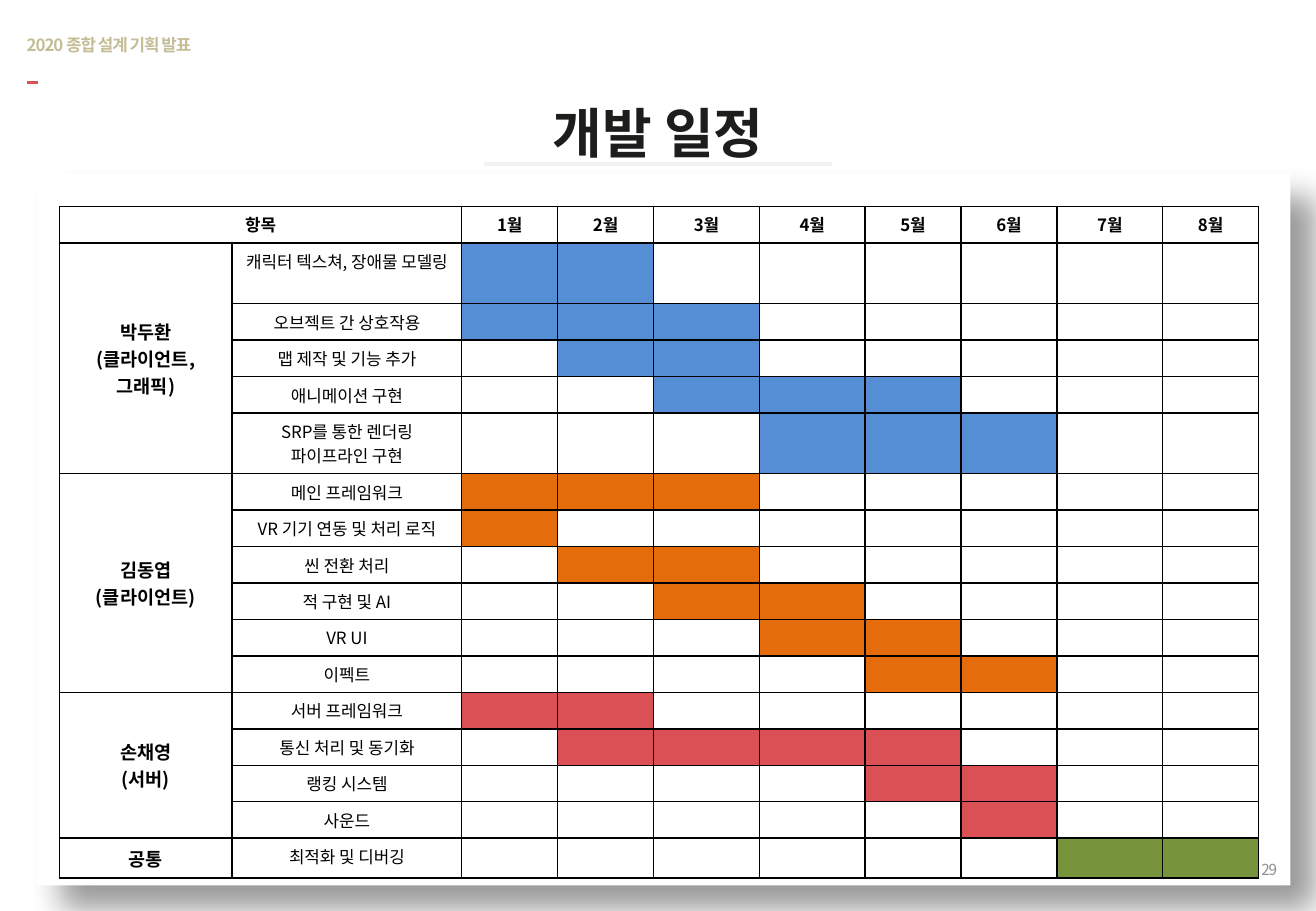
"""Build the development schedule slide: a month-by-month plan for each team member."""
import pptx
import pptx.dml.color
import pptx.enum.shapes
import pptx.enum.text
import pptx.oxml
import pptx.oxml.ns
import pptx.util

Inches = pptx.util.Inches
Pt = pptx.util.Pt
ALIGN = pptx.enum.text.PP_ALIGN
MIDDLE = pptx.enum.text.MSO_ANCHOR.MIDDLE
FONT = "Noto Sans CJK KR"
NS = pptx.oxml.ns.nsdecls("a")
BLUE, ORANGE, RED, GREEN = "558ED5", "E46C0A", "DA5054", "77933C"


def rgb(value):
    """Turn a hex string into a colour."""
    return pptx.dml.color.RGBColor.from_string(value)


def write(paragraph, text, size, color="000000", bold=False, align=ALIGN.CENTER, spacing=0):
    """Add one run in the slide's font."""
    paragraph.alignment = align
    run = paragraph.add_run()
    run.text = text
    run.font.size = Pt(size)
    run.font.bold = bold
    run.font.name = FONT
    run.font.color.rgb = rgb(color)
    properties = run.font._element
    properties.append(pptx.oxml.parse_xml(f'<a:ea {NS} typeface="{FONT}"/>'))
    if spacing:
        properties.set("spc", str(spacing))


deck = pptx.Presentation()
deck.slide_width = Inches(10.83)
deck.slide_height = Inches(7.5)
slide = deck.slides.add_slide(deck.slide_layouts[6])

panel = slide.shapes.add_shape(
    pptx.enum.shapes.MSO_SHAPE.RECTANGLE, Inches(0.31), Inches(1.43), Inches(10.31), Inches(5.86))
panel.fill.solid()
panel.fill.fore_color.rgb = rgb("FFFFFF")
panel.line.fill.background()
panel._element.spPr.append(pptx.oxml.parse_xml(
    f'<a:effectLst {NS}><a:outerShdw blurRad="{Pt(19)}" dist="{Pt(20)}" dir="2700000" algn="tl" '
    'rotWithShape="0"><a:srgbClr val="000000"><a:alpha val="40000"/></a:srgbClr>'
    '</a:outerShdw></a:effectLst>'))

for left, right, y, color, width in [(0.22, 0.31, 0.68, RED, 2), (3.98, 6.85, 1.35, "F2F2F2", 2.25)]:
    rule = slide.shapes.add_connector(
        pptx.enum.shapes.MSO_CONNECTOR.STRAIGHT, Inches(left), Inches(y), Inches(right), Inches(y))
    rule.line.color.rgb = rgb(color)
    rule.line.width = Pt(width)
    rule._element.spPr.append(pptx.oxml.parse_xml(f"<a:effectLst {NS}/>"))

captions = [
    ("개발 일정", (1.44, 0.9, 7.95, 0.38), 32, "1D1D1B", True, ALIGN.CENTER, 0),
    ("29", (10.05, 7, 0.46, 0.31), 9, "8C8C8C", False, ALIGN.RIGHT, -60),
    ("2020 종합 설계 기획 발표", (0.22, 0.13, 2.99, 0.47), 10, "C4BD97", True, ALIGN.LEFT, -60),
]
for text, place, *style in captions:
    frame = slide.shapes.add_textbox(*map(Inches, place)).text_frame
    frame.word_wrap = True
    frame.vertical_anchor = MIDDLE
    frame.margin_left = frame.margin_right = frame.margin_top = frame.margin_bottom = 0
    write(frame.paragraphs[0], text, *style)

plan = [
    (["박두환", "(클라이언트, 그래픽)"], BLUE, [
        ("캐릭터 텍스쳐, 장애물 모델링", 1, 2),
        ("오브젝트 간 상호작용", 1, 3),
        ("맵 제작 및 기능 추가", 2, 3),
        ("애니메이션 구현", 3, 5),
        ("SRP를 통한 렌더링 파이프라인 구현", 4, 6),
    ]),
    (["김동엽", "(클라이언트)"], ORANGE, [
        ("메인 프레임워크", 1, 3),
        ("VR 기기 연동 및 처리 로직", 1, 1),
        ("씬 전환 처리", 2, 3),
        ("적 구현 및 AI", 3, 4),
        ("VR UI", 4, 5),
        ("이펙트", 5, 6),
    ]),
    (["손채영", "(서버)"], RED, [
        ("서버 프레임워크", 1, 2),
        ("통신 처리 및 동기화", 2, 5),
        ("랭킹 시스템", 5, 6),
        ("사운드", 6, 6),
    ]),
    (["공통"], GREEN, [("최적화 및 디버깅", 7, 8)]),
]
column_widths = [1.42, 1.89, 0.79, 0.79, 0.87, 0.87, 0.79, 0.79, 0.87, 0.79]
row_heights = [0.3, 0.5, 0.3, 0.3, 0.3, 0.5] + [0.3] * 10 + [0.33]
schedule = slide.shapes.add_table(
    len(row_heights), len(column_widths), Inches(0.49), Inches(1.7),
    Inches(sum(column_widths)), Inches(sum(row_heights))).table
schedule.first_row = schedule.horz_banding = False
for column, width in zip(schedule.columns, column_widths):
    column.width = Inches(width)
for row, height in zip(schedule.rows, row_heights):
    row.height = Inches(height)

for cell in schedule.iter_cells():
    borders = cell._tc.get_or_add_tcPr()
    for side in ("lnL", "lnR", "lnT", "lnB"):
        borders.append(pptx.oxml.parse_xml(
            f'<a:{side} {NS} w="{Pt(1)}"><a:solidFill><a:srgbClr val="000000"/></a:solidFill></a:{side}>'))
    cell.fill.background()
    cell.text_frame.paragraphs[0]._p.append(pptx.oxml.parse_xml(f'<a:endParaRPr {NS} sz="1000"/>'))

schedule.cell(0, 0).merge(schedule.cell(0, 1))
write(schedule.cell(0, 0).text_frame.paragraphs[0], "항목", 10, bold=True)
for month in range(1, 9):
    write(schedule.cell(0, month + 1).text_frame.paragraphs[0], f"{month}월", 10, bold=True)

top = 1
for owner_lines, color, tasks in plan:
    owner = schedule.cell(top, 0)
    if len(tasks) > 1:
        owner.merge(schedule.cell(top + len(tasks) - 1, 0))
    owner.vertical_anchor = MIDDLE
    for index, line in enumerate(owner_lines):
        paragraph = owner.text_frame.add_paragraph() if index else owner.text_frame.paragraphs[0]
        write(paragraph, line, 11, bold=True)
    for row, (task, first, last) in enumerate(tasks, top):
        write(schedule.cell(row, 1).text_frame.paragraphs[0], task, 10)
        for month in range(first, last + 1):
            bar = schedule.cell(row, month + 1)
            bar.fill.solid()
            bar.fill.fore_color.rgb = rgb(color)
    top += len(tasks)

deck.save("out.pptx")
